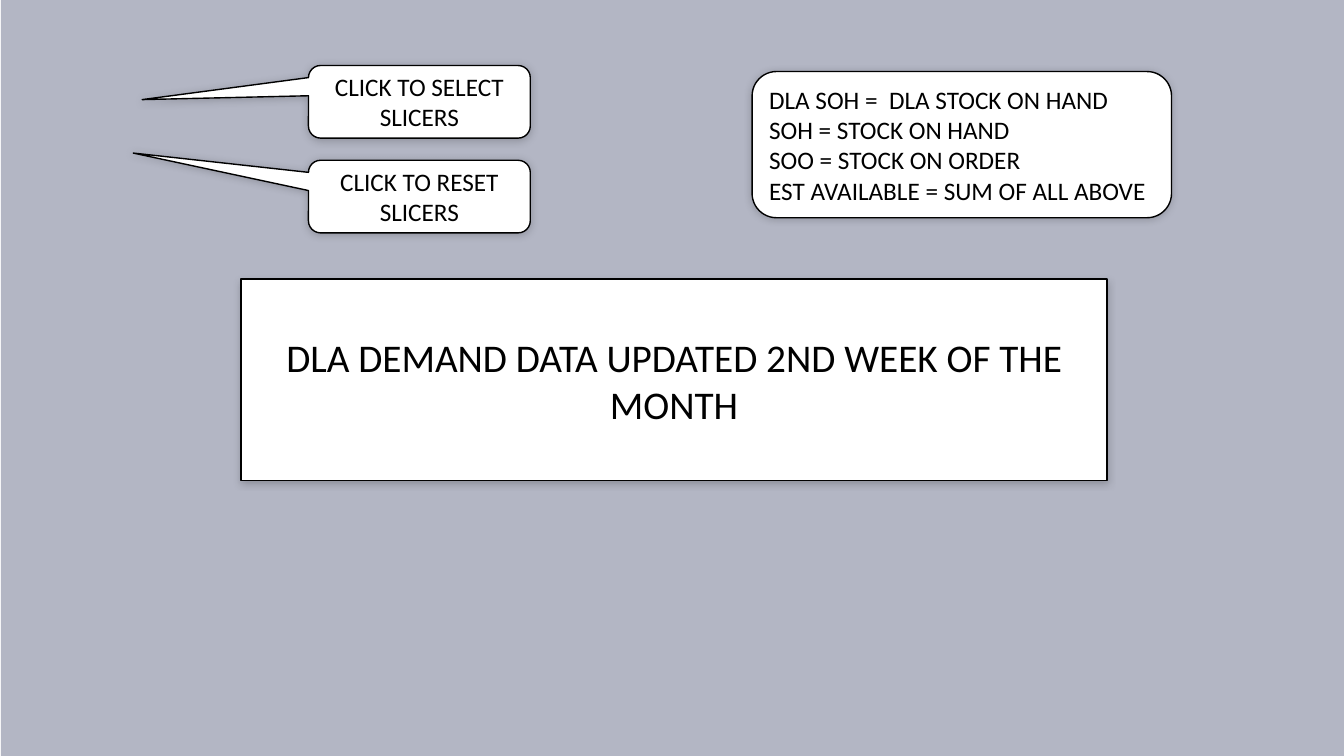
from lxml import etree
from pptx import Presentation
from pptx.dml.color import RGBColor
from pptx.enum.shapes import MSO_SHAPE
from pptx.enum.text import MSO_ANCHOR, MSO_AUTO_SIZE, PP_ALIGN
from pptx.oxml.ns import qn
from pptx.util import Inches, Pt

RECT = MSO_SHAPE.RECTANGLE
ROUND = MSO_SHAPE.ROUNDED_RECTANGLE
CALLOUT = MSO_SHAPE.ROUNDED_RECTANGULAR_CALLOUT
MIDDLE = MSO_ANCHOR.MIDDLE
GROW = MSO_AUTO_SIZE.SHAPE_TO_FIT_TEXT
LEFT, CENTER = PP_ALIGN.LEFT, PP_ALIGN.CENTER


def color(code):
    return RGBColor.from_string(code)


def write(frame, text, font="Calibri", size=18, ink="000000", align=CENTER, wrap=True):
    frame.word_wrap = wrap
    frame.vertical_anchor = MIDDLE
    for i, line in enumerate(text.split("\n")):
        para = frame.paragraphs[0] if i == 0 else frame.add_paragraph()
        para.alignment = align
        run = para.add_run()
        run.text = line
        run.font.name = font
        run.font.size = Pt(size)
        run.font.color.rgb = color(ink)


class Board:
    paper = "FFFFFF"
    ink = "000000"
    tint = "141F48"

    def __init__(self, deck):
        self.slide = deck.slides.add_slide(deck.slide_layouts[6])

    def shape(self, kind, box, fill):
        shape = self.slide.shapes.add_shape(kind, *map(Inches, box))
        shape.shadow.inherit = False
        shape.fill.solid()
        shape.fill.fore_color.rgb = color(fill)
        return shape

    def veil(self, box, alpha):
        shape = self.shape(RECT, box, self.tint)
        shape.line.fill.background()
        tone = shape._element.spPr.find(qn("a:solidFill"))[0]
        etree.SubElement(tone, qn("a:alpha"), val=str(alpha * 1000))

    def shade(self, shape):
        effects = shape._element.spPr.find(qn("a:effectLst"))
        outer = etree.SubElement(
            effects, qn("a:outerShdw"), blurRad=str(Pt(6)), dist=str(Pt(1)),
            dir=str(135 * 60000), algn="ctr", rotWithShape="0")
        tone = etree.SubElement(outer, qn("a:srgbClr"), val=self.ink)
        etree.SubElement(tone, qn("a:alpha"), val="20000")

    def card(self, kind, box, text, **style):
        shape = self.shape(kind, box, self.paper)
        shape.line.color.rgb = color(self.ink)
        shape.line.width = Pt(1)
        self.shade(shape)
        write(shape.text_frame, text, ink=self.ink, **style)
        return shape

    def callout(self, top, text, tip):
        shape = self.card(CALLOUT, (3.06, top, 2.2, 0.72), text)
        for i, value in enumerate(tip):
            shape.adjustments[i] = value


def main():
    deck = Presentation()
    deck.slide_width = Inches(13.33)
    deck.slide_height = Inches(7.5)
    board = Board(deck)
    board.veil((0.01, -0.01, 13.35, 7.56), 32)
    board.callout(0.65, "CLICK TO SELECT SLICERS", (-1.25, -0.03))
    board.callout(1.59, "CLICK TO RESET SLICERS", (-1.29, -0.6))
    board.card(RECT, (2.39, 2.77, 8.59, 2),
               "DLA DEMAND DATA UPDATED 2ND WEEK OF THE MONTH", size=28)
    terms = "\n".join([
        "DLA SOH =  DLA STOCK ON HAND",
        "SOH = STOCK ON HAND",
        "SOO = STOCK ON ORDER",
        "EST AVAILABLE = SUM OF ALL ABOVE",
    ])
    legend = board.card(ROUND, (7.46, 0.71, 4.16, 1.45), terms, align=LEFT, wrap=False)
    legend.text_frame.auto_size = GROW
    deck.save("out.pptx")


if __name__ == "__main__":
    main()
